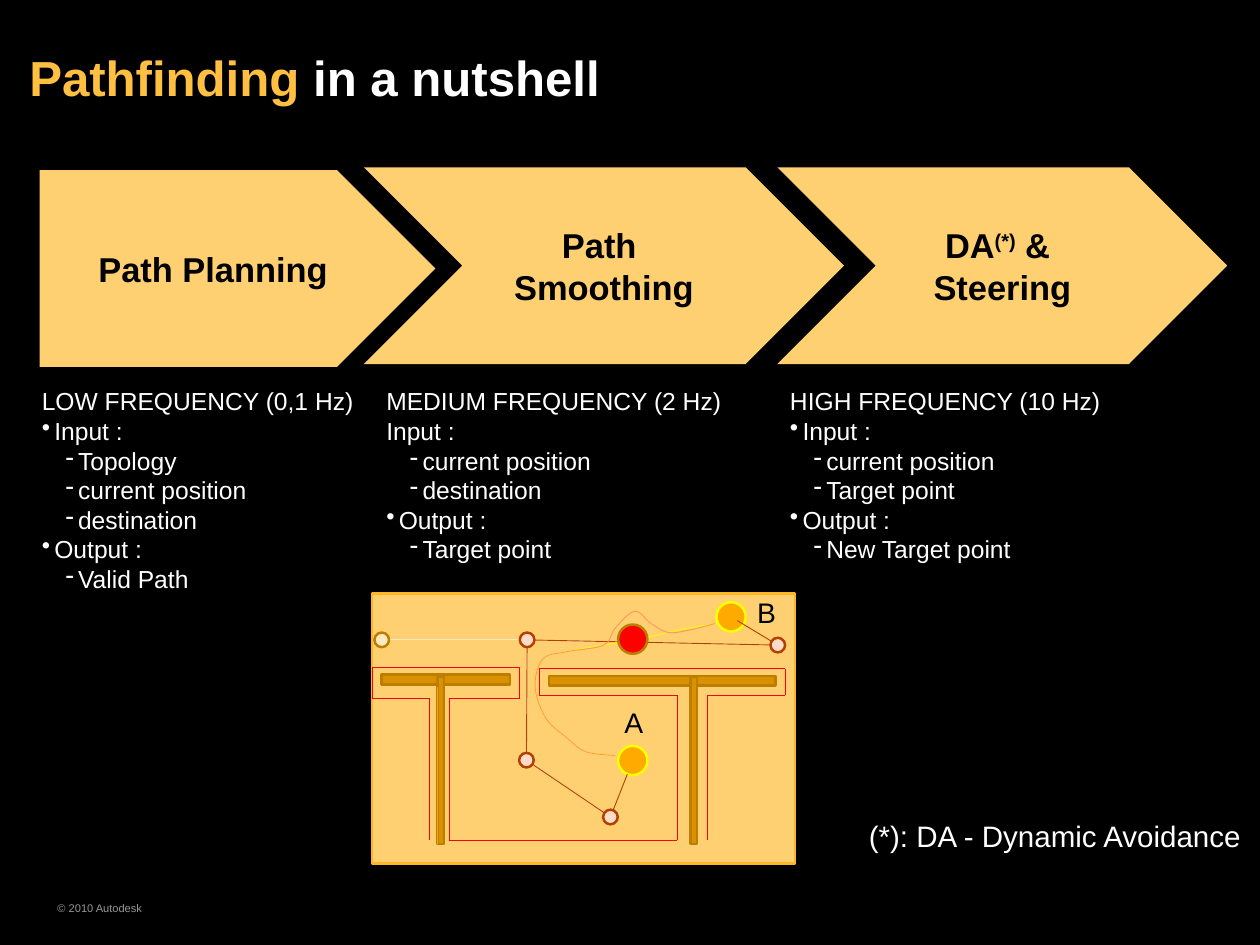
from math import dist

from lxml import etree
from pptx import Presentation
from pptx import util as u
from pptx.dml.color import RGBColor
from pptx.enum import shapes, text
from pptx.oxml.ns import qn

FONT = "Arial"
WHITE, BLACK, GREY, SAND = "FFFFFF", "000000", "969696", "FFD071"
AMBER, BRONZE, YELLOW, RED = "FFAA00", "BD7E00", "FFFF00", "FF0000"
CREAM, RUST, BLUSH, PEACH = "FFEABF", "B24000", "FFDCC9", "FF965C"
RECTANGLE, OVAL = shapes.MSO_SHAPE.RECTANGLE, shapes.MSO_SHAPE.OVAL
PENTAGON, CHEVRON = shapes.MSO_SHAPE.PENTAGON, shapes.MSO_SHAPE.CHEVRON


def colour(code):
    return RGBColor.from_string(code)


def add_figure(kind, place, fill, rim=None):
    """Add a filled preset shape; place is left, top, width, height in cm."""
    figure = page.shapes.add_shape(kind, *map(u.Cm, place))
    figure.shadow.inherit = False
    figure.fill.solid()
    figure.fill.fore_color.rgb = colour(fill)
    if rim:
        figure.line.color.rgb = colour(rim)
        figure.line.width = u.Pt(2)
    else:
        figure.line.fill.background()
    return figure


deck = Presentation()
deck.slide_width, deck.slide_height = u.Cm(36.14), u.Cm(27.1)
page = deck.slides.add_slide(deck.slide_layouts[6])
page.background.fill.solid()
page.background.fill.fore_color.rgb = colour(BLACK)

# Title in two colours
box = page.shapes.add_textbox(*map(u.Cm, (0.84, 0.84, 34.57, 2.72)))
frame = box.text_frame
frame.vertical_anchor = text.MSO_ANCHOR.MIDDLE
frame.word_wrap = True
frame.margin_left = frame.margin_right = frame.margin_top = frame.margin_bottom = 0
para = frame.paragraphs[0]
para.font.name, para.font.size, para.font.bold = FONT, u.Pt(40), True
for words, code in (("Pathfinding", "FFBF40"), (" in a nutshell", WHITE)):
    span = para.add_run()
    span.text = words
    span.font.color.rgb = colour(code)

# Three process arrows; each line of an arrow is a list of runs
SUPERSCRIPT = "(*)"
ARROW_HEIGHT = 5.64
steps = [
    (PENTAGON, 1.14, 4.88, 11.35, [["Path Planning"]]),
    (CHEVRON, 10.44, 4.8, 13.77, [["Path "], ["Smoothing"]]),
    (CHEVRON, 22.3, 4.8, 12.9, [["DA", SUPERSCRIPT, " & "], ["Steering"]]),
]
for kind, left, top, width, lines in steps:
    frame = add_figure(kind, (left, top, width, ARROW_HEIGHT), SAND).text_frame
    frame.vertical_anchor = text.MSO_ANCHOR.MIDDLE
    frame.word_wrap = kind == PENTAGON
    for number, runs in enumerate(lines):
        para = frame.add_paragraph() if number else frame.paragraphs[0]
        para.alignment = text.PP_ALIGN.CENTER
        para.font.name, para.font.size, para.font.bold = FONT, u.Pt(28), True
        para.font.color.rgb = colour(BLACK)
        for words in runs:
            span = para.add_run()
            span.text = words
            if words == SUPERSCRIPT:
                span._r.get_or_add_rPr().set("baseline", "30000")

# Map floor and its two T-shaped walls; the trail keeps clear of both walls
add_figure(RECTANGLE, (10.67, 17.02, 12.14, 7.75), SAND, "FFB625")
BAR_HEIGHT, STEM_WIDTH, STEM_TOP, STEM_HEIGHT = 0.28, 0.18, 19.41, 4.8
END_GAP, TOP_GAP, TRAIL_FOOT = 0.28, 0.2, 24.1
walls = [  # bar left, top, width; stem left; gaps below bar, left and right of stem
    (10.95, 19.35, 3.68, 12.55, 0.4, 0.23, 0.15),
    (15.75, 19.38, 6.5, 19.81, 0.28, 0.38, 0.3),
]
trail = []
for left, top, width, stem, below, before, after in walls:
    add_figure(RECTANGLE, (left, top, width, BAR_HEIGHT), "DA9100", BRONZE)
    add_figure(RECTANGLE, (stem, STEM_TOP, STEM_WIDTH, STEM_HEIGHT), "DA9100", BRONZE)
    over, under = top - TOP_GAP, top + BAR_HEIGHT + below
    west, east = left - END_GAP, left + width + END_GAP
    near, far = stem - before, stem + STEM_WIDTH + after
    trail += [(near, TRAIL_FOOT), (near, under), (west, under), (west, over),
              (east, over), (east, under), (far, under), (far, TRAIL_FOOT)]

# Places on the map: centre, and the distance at which edges stop
NODE, DISC = 0.21, 0.42
places = {
    "west": (10.95, 18.35, NODE), "door": (15.12, 18.35, NODE),
    "hall": (15.1, 21.8, NODE), "corner": (17.51, 23.43, NODE),
    "east": (22.31, 18.5, NODE),
    "A": (18.15, 21.81, DISC), "B": (20.97, 17.69, NODE),
}
for name in "AB":
    x, y, _ = places[name]
    add_figure(OVAL, (x - DISC, y - DISC, 2 * DISC, 2 * DISC), AMBER, YELLOW)

# Straight lines: wall edge, graph edges and trail
shared_edges = [("hall", "door"), ("door", "east"), ("hall", "corner")]
graphs = [(CREAM, shared_edges + [("west", "door")]),
          (RUST, shared_edges + [("A", "corner"), ("east", "B")])]
segments = [("F9A600", (12.55, 24.21), (12.55, 19.69))]
segments += [(RED, begin, end) for begin, end in zip(trail, trail[1:])]
for code, edges in graphs:
    for first, last in edges:
        *begin, begin_reach = places[first]
        *end, end_reach = places[last]
        length = dist(begin, end)
        step = [(b - a) / length for a, b in zip(begin, end)]
        segments.append((code, [a + begin_reach * s for a, s in zip(begin, step)],
                         [b - end_reach * s for b, s in zip(end, step)]))
for code, begin, end in segments:
    line = page.shapes.add_connector(
        shapes.MSO_CONNECTOR.STRAIGHT, *map(u.Cm, (*begin, *end)))
    line.line.color.rgb = colour(code)
    line.line.width = u.Pt(0.75)
    etree.SubElement(line._element.spPr, qn("a:effectLst"))

for name in ("west", "door", "hall", "corner", "east"):
    x, y, _ = places[name]
    fill, rim = (CREAM, BRONZE) if name == "west" else (BLUSH, RUST)
    add_figure(OVAL, (x - NODE, y - NODE, 2 * NODE, 2 * NODE), fill, rim)

# Two curves from A to B share the way through the door, then part at the obstacle
through_door = [(17.65, 21.67), (16.81, 21.56), (16.26, 21.16), (15.66, 20.6),
                (15.35, 19.7), (15.57, 18.9), (16.26, 18.69), (17.32, 18.5)]
direct = [(18.42, 18.31), (19.5, 18.06), (20.57, 17.88)]
around = [(17.65, 18.01), (18.21, 17.53), (18.67, 17.88), (19.18, 18.14),
          (19.81, 18.06), (20.52, 17.88)]
STEPS = 6
for ending, code in ((direct, YELLOW), (around, PEACH)):
    if ending is around:
        add_figure(OVAL, (17.73, 17.91, 2 * DISC, 2 * DISC), RED, BRONZE)
    stops = through_door + ending
    padded = [stops[0], *stops, stops[-1]]
    points = [stops[0]]
    # Catmull-Rom spline: each span is bent by the stops before and after it
    for span_stops in zip(padded, padded[1:], padded[2:], padded[3:]):
        for number in range(1, STEPS + 1):
            t = number / STEPS
            points.append([
                b + t * (c - a) / 2 + t**2 * (2 * a - 5 * b + 4 * c - d) / 2
                + t**3 * (3 * b - a - 3 * c + d) / 2
                for a, b, c, d in zip(*span_stops)])
    start, *rest = [(u.Cm(x), u.Cm(y)) for x, y in points]
    builder = page.shapes.build_freeform(*start)
    builder.add_line_segments(rest, close=False)
    curve = builder.convert_to_shape()
    curve.shadow.inherit = False
    curve.fill.background()
    curve.line.color.rgb = colour(code)
    curve.line.width = u.Pt(0.75)

# Text blocks: place, size, colour, wrap, and lines as (bullet, words)
blocks = [
    ((24.56, 23.29, 11.51, 1.4), 24, WHITE, False, [("", "(*): DA - Dynamic Avoidance")]),
    ((17.55, 20.04, 1.27, 1.35), 23, BLACK, False, [("", "A")]),
    ((21.36, 16.89, 1.27, 1.35), 23, BLACK, False, [("", "B")]),
    ((1.29, 25.67, 8.77, 0.74), 9, GREY, True, [("", "© 2010 Autodesk")]),
]
stages = [  # left, width, heading, bullet of "Input :", inputs, output
    (0.84, 9.88, "LOW FREQUENCY (0,1 Hz)", "•",
     ["Topology", "current position", "destination"], "Valid Path"),
    (10.72, 10.72, "MEDIUM FREQUENCY (2 Hz)", "",
     ["current position", "destination"], "Target point"),
    (22.3, 10.8, "HIGH FREQUENCY (10 Hz)", "•",
     ["current position", "Target point"], "New Target point"),
]
for left, width, heading, bullet, inputs, output in stages:
    items = [("", heading), (bullet, "Input :"), *(("-", name) for name in inputs),
             ("•", "Output :"), ("-", output)]
    blocks.append(((left, 10.9, width, 5.49), 20, WHITE, True, items))

HANG, SUB_INDENT = 0.36, 1.04
for place, size, code, wrap, items in blocks:
    frame = page.shapes.add_textbox(*map(u.Cm, place)).text_frame
    frame.word_wrap = wrap
    frame.margin_left = frame.margin_right = u.Cm(0.36)
    frame.margin_top = frame.margin_bottom = u.Cm(0.18)
    for number, (bullet, words) in enumerate(items):
        para = frame.add_paragraph() if number else frame.paragraphs[0]
        para.text = words
        para.level = int(bullet == "-")
        if len(items) > 1:
            layout = para._p.get_or_add_pPr()
            layout.set("marL", str(u.Cm(SUB_INDENT if para.level else HANG)))
            layout.set("indent", str(-u.Cm(HANG)))
            if bullet:
                etree.SubElement(layout, qn("a:buChar"), char=bullet)
        para.font.name, para.font.size = FONT, u.Pt(size)
        para.font.color.rgb = colour(code)

deck.save("out.pptx")
